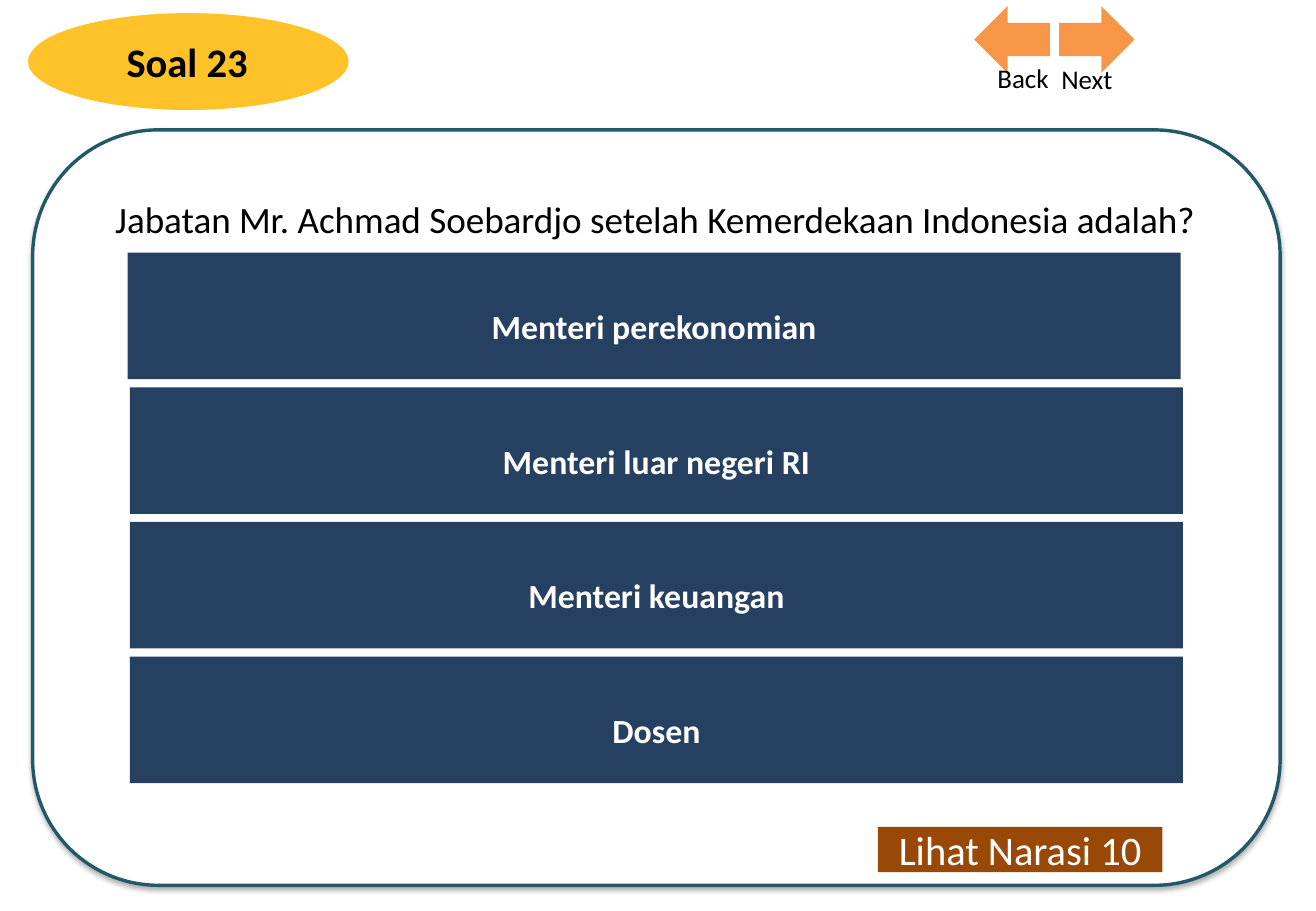
"""Build the quiz slide for question 23 with its four answer options."""
import lxml.etree
import pptx
import pptx.dml.color
import pptx.enum.shapes
import pptx.enum.text
import pptx.oxml
import pptx.oxml.ns
import pptx.util

Pt = pptx.util.Pt
SHAPE = pptx.enum.shapes.MSO_SHAPE
ALIGN = pptx.enum.text.PP_ALIGN
ANCHOR = pptx.enum.text.MSO_ANCHOR

COLOURS = {
    "badge": "FFC229",
    "panel": "FFFFFF",
    "panel_line": "215968",
    "option": "254061",
    "narration": "984807",
    "arrow": "F79646",
    "dark": "000000",
    "light": "FFFFFF",
}
OPTIONS = [
    ("Menteri perekonomian", 75.6),
    ("Menteri luar negeri RI", 77),
    ("Menteri keuangan", 77),
    ("Dosen", 77),
]
OPTION_TOP, OPTION_STEP = 149.8, 79.8


def colour(name):
    return pptx.dml.color.RGBColor.from_string(COLOURS[name])


def write(box, text, size, ink, align, bold=False, spacing=1.0, anchor=ANCHOR.TOP):
    frame = box.text_frame
    frame.word_wrap = True
    frame.vertical_anchor = anchor
    para = frame.paragraphs[0]
    para.alignment = align
    para.line_spacing = spacing
    span = para.add_run()
    span.text = text
    values = {"name": "Calibri", "size": Pt(size), "bold": bold}
    for key, value in values.items():
        setattr(span.font, key, value)
    span.font.color.rgb = colour(ink)


def add_shape(page, kind, place, fill):
    shape = page.shapes.add_shape(kind, *map(Pt, place))
    shape.shadow.inherit = False
    shape.fill.solid()
    shape.fill.fore_color.rgb = colour(fill)
    shape.line.fill.background()
    return shape


def add_label(page, place, text, size, align, **style):
    box = page.shapes.add_textbox(*map(Pt, place))
    write(box, text, size, "dark", align, **style)


def add_button(page, place, fill, text, size, **style):
    button = add_shape(page, SHAPE.RECTANGLE, place, fill)
    write(button, text, size, "light", ALIGN.CENTER, anchor=ANCHOR.MIDDLE, **style)


def add_panel(page):
    panel = add_shape(page, SHAPE.ROUNDED_RECTANGLE, (19.4, 77, 739.4, 447.8), "panel")
    panel.line.color.rgb = colour("panel_line")
    panel.line.width = Pt(2)
    qn = pptx.oxml.ns.qn
    effects = panel.element.spPr.find(qn("a:effectLst"))
    shadow = lxml.etree.SubElement(
        effects, qn("a:outerShdw"), blurRad=str(Pt(3.5)), dist=str(Pt(2.2)),
        dir="5400000", rotWithShape="0")
    tint = lxml.etree.SubElement(shadow, qn("a:srgbClr"), val=COLOURS["dark"])
    lxml.etree.SubElement(tint, qn("a:alpha"), val="32000")


def add_arrow(page, left, rotation):
    arrow = add_shape(page, SHAPE.RIGHT_ARROW, (left, 3.6, 44.8, 39.6), "arrow")
    arrow.rotation = rotation


def main():
    deck = pptx.Presentation()
    deck.slide_width, deck.slide_height = Pt(780), Pt(540)
    page = deck.slides.add_slide(deck.slide_layouts[6])

    add_shape(page, SHAPE.OVAL, (16.6, 7.8, 190, 57.4), "badge")
    add_label(page, (13, 18.7, 195.8, 36), "Soal 23", 24, ALIGN.CENTER, bold=True)

    add_panel(page)
    add_label(page, (61.2, 100, 680.4, 43.2),
              "Jabatan Mr. Achmad Soebardjo setelah Kemerdekaan Indonesia adalah?",
              22, ALIGN.JUSTIFY, spacing=1.5)
    add_button(page, (520.4, 490.2, 168.6, 26.8), "narration", "Lihat Narasi 10", 24)
    for index, (text, left) in enumerate(OPTIONS):
        place = (left, OPTION_TOP + index * OPTION_STEP, 624.2, 75)
        add_button(page, place, "option", text, 20, bold=True, spacing=1.5)

    add_arrow(page, 577.4, 180)
    add_arrow(page, 627.8, 0)
    add_label(page, (622, 33.8, 100.8, 26.6), "Next", 16, ALIGN.LEFT)
    add_label(page, (527.8, 33.1, 100.8, 26.6), "Back", 16, ALIGN.RIGHT)

    deck.save("out.pptx")


if __name__ == "__main__":
    main()
